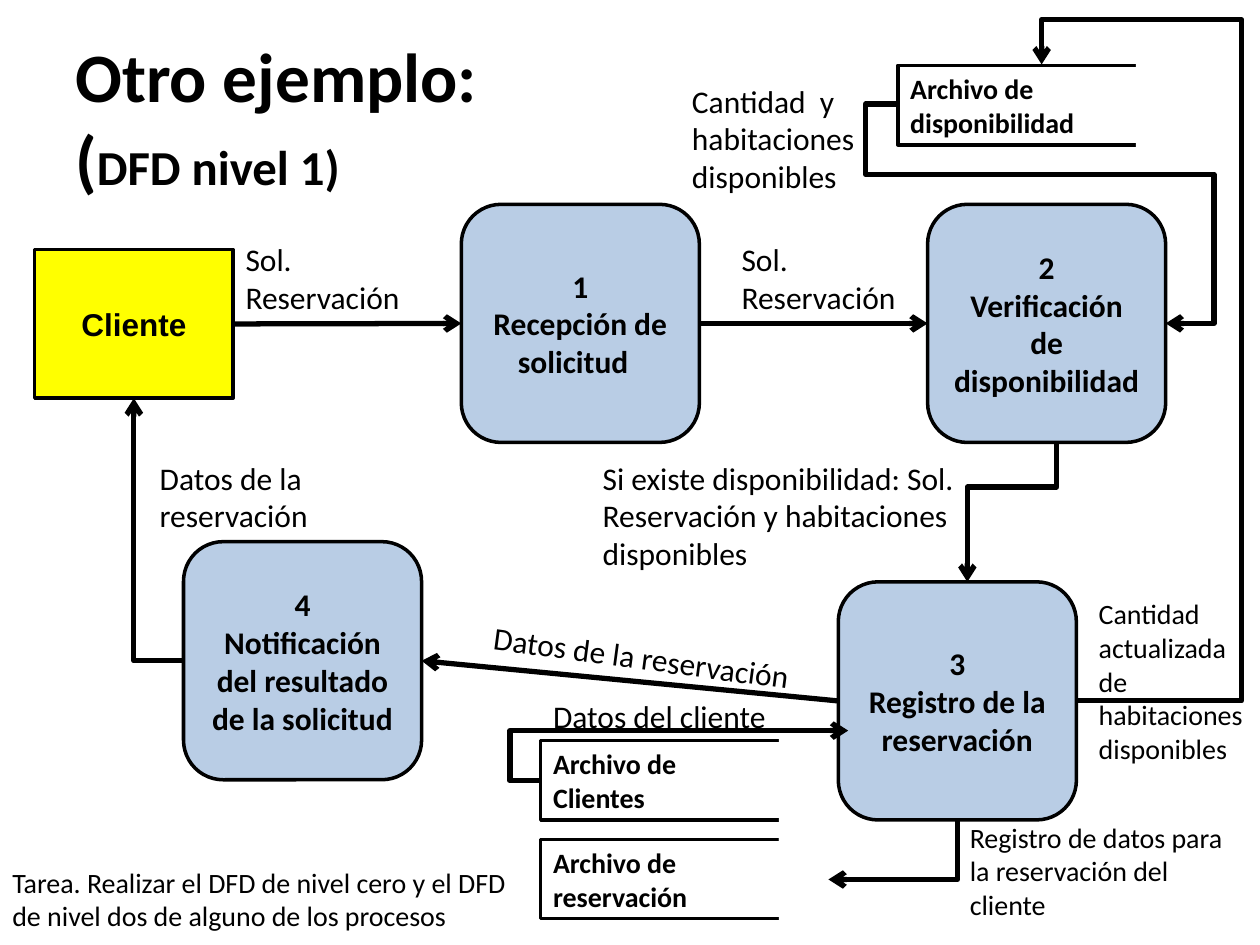
from lxml.etree import SubElement
from pptx import Presentation
from pptx.dml.color import RGBColor
from pptx.enum.shapes import MSO_CONNECTOR as Link, MSO_SHAPE as Shape
from pptx.enum.text import MSO_ANCHOR as Anchor, PP_ALIGN as Align
from pptx.oxml.ns import qn
from pptx.util import Cm, Pt

BLACK = RGBColor(0x00, 0x00, 0x00)
WHITE = RGBColor(0xFF, 0xFF, 0xFF)
YELLOW = RGBColor(0xFF, 0xFF, 0x00)
BLUE = RGBColor(0xB9, 0xCD, 0xE5)

LEFT, RIGHT = 1, 3  # connection sites
SIDE = 4.8  # width and height of a process, in cm
STORE = (5.4, 1.6)


class Diagram:
    """Data flow diagram: style, current page and one method per element."""

    text_style = {"name": "Calibri", "size": Pt(18), "bold": False}

    def __init__(self, page):
        self.page = page

    def add_span(self, para, text, **changes):
        span = para.add_run()
        span.text = text
        for key, value in {**self.text_style, **changes}.items():
            setattr(span.font, key, value)
        span.font.color.rgb = BLACK

    def fill_frame(self, frame, lines, align=None, **changes):
        frame.word_wrap = True
        for index, text in enumerate(lines):
            para = frame.add_paragraph() if index else frame.paragraphs[0]
            para.alignment = align
            self.add_span(para, text, **changes)

    def block(self, kind, at, fill, outlined=True, shapes=None):
        shapes = shapes or self.page.shapes
        box = shapes.add_shape(kind, *map(Cm, at))
        box.shadow.inherit = False
        box.fill.solid()
        box.fill.fore_color.rgb = fill
        if outlined:
            box.line.color.rgb = BLACK
            box.line.width = Pt(2)
        else:
            box.line.fill.background()
        return box

    def node(self, kind, at, fill, lines, **changes):
        box = self.block(kind, at, fill)
        box.text_frame.vertical_anchor = Anchor.MIDDLE
        self.fill_frame(box.text_frame, lines, Align.CENTER, bold=True, **changes)
        return box

    def process(self, left, top, *lines):
        return self.node(Shape.ROUNDED_RECTANGLE, (left, top, SIDE, SIDE), BLUE, lines)

    def label(self, at, *lines, angle=0, **changes):
        box = self.page.shapes.add_textbox(*map(Cm, at))
        box.rotation = angle
        self.fill_frame(box.text_frame, lines, **changes)

    def store(self, left, top, *lines):
        """Box open on the right: a white cover hides that side."""
        group = self.page.shapes.add_group_shape()
        self.block(Shape.RECTANGLE, (left, top, *STORE), WHITE, shapes=group.shapes)
        self.block(Shape.RECTANGLE, (left + 4.8, top - 0.4, 0.8, 2.6), WHITE,
                   outlined=False, shapes=group.shapes)
        self.label((left, top, 5.8, 1.62), *lines, size=Pt(16), bold=True)

    def arrow(self, kind, start, end):
        link = self.page.shapes.add_connector(kind, *map(Cm, (*start, *end)))
        link.line.color.rgb = BLACK
        link.line.width = Pt(3)
        props = link.element.spPr
        SubElement(props.find(qn("a:ln")), qn("a:tailEnd"), type="arrow")
        SubElement(props, qn("a:effectLst"))
        return link

    def straight(self, source, source_side, target, target_side):
        link = self.arrow(Link.STRAIGHT, (0, 0), (1, 1))
        link.begin_connect(source, source_side)
        link.end_connect(target, target_side)

    def elbow(self, start, end, parts, bends=(), turned=False):
        """Bent arrow; a turned one leaves downwards and goes left."""
        if turned:
            mid_x, mid_y = (start[0] + end[0]) / 2, (start[1] + end[1]) / 2
            half_w, half_h = (end[1] - start[1]) / 2, (start[0] - end[0]) / 2
            start, end = (mid_x - half_w, mid_y - half_h), (mid_x + half_w, mid_y + half_h)
        link = self.arrow(Link.ELBOW, start, end)
        props = link.element.spPr
        if turned:
            props.find(qn("a:xfrm")).set("rot", str(90 * 60000))
        shape = props.find(qn("a:prstGeom"))
        shape.set("prst", f"bentConnector{parts}")
        guides = shape.find(qn("a:avLst"))
        if guides is None:
            guides = SubElement(shape, qn("a:avLst"))
        for number, bend in enumerate(bends, 1):
            SubElement(guides, qn("a:gd"), name=f"adj{number}",
                       fmla=f"val {round(bend * 100000)}")

    def title(self, at, first, mark, second):
        box = self.page.shapes.add_textbox(*map(Cm, at))
        frame = box.text_frame
        frame.vertical_anchor = Anchor.MIDDLE
        self.fill_frame(frame, [first], size=Pt(39.6), bold=True)
        para = frame.paragraphs[0]
        para.add_line_break()
        self.add_span(para, mark, size=Pt(39.6), bold=True)
        self.add_span(para, second, size=Pt(27.9), bold=True)


def main():
    deck = Presentation()
    deck.slide_width, deck.slide_height = Cm(25.4), Cm(19.05)
    diagram = Diagram(deck.slides.add_slide(deck.slide_layouts[6]))
    small = {"size": Pt(16)}

    diagram.title((1.27, 0.76, 22.86, 3.18), "Otro ejemplo:", "(", "DFD nivel 1)")

    # Client and processes
    client = diagram.node(Shape.RECTANGLE, (0.7, 5.03, 4, 3), YELLOW, ["Cliente"],
                          name="Arial")
    request = diagram.process(9.3, 4.12, "1", "Recepción de solicitud  ")
    check = diagram.process(18.7, 4.12, "2", "Verificación de disponibilidad")
    booking = diagram.process(16.9, 11.73, "3", "Registro de la reservación")
    notice = diagram.process(3.7, 10.92, "4", "Notificación del resultado de la solicitud")

    # Data stores
    diagram.store(18.1, 1.32, "Archivo de disponibilidad")
    diagram.store(10.9, 16.92, "Archivo de reservación")
    diagram.store(10.9, 14.93, "Archivo de", "Clientes")

    # Flows
    diagram.straight(client, RIGHT, request, LEFT)
    diagram.straight(request, RIGHT, check, LEFT)
    diagram.straight(booking, LEFT, notice, RIGHT)
    diagram.elbow((18.1, 2.1), (23.5, 6.52), 5, (-0.12, 0.32, 1.18))
    diagram.elbow((21.7, 14.13), (21, 1.3), 4, (-4.76, 1.07))
    diagram.elbow((3.7, 13.32), (2.7, 8.03), 2)
    diagram.elbow((21.3, 8.92), (19.5, 11.73), 3, (0.32,), turned=True)
    diagram.elbow((19.3, 16.53), (16.7, 17.73), 2, turned=True)
    diagram.elbow((10.9, 15.74), (17.1, 14.73), 3, (-0.1,))

    # Flow labels
    for left in (4.7, 14.7):
        diagram.label((left, 4.72, 4.6, 1.8), "Sol. Reservación")
    diagram.label((13.7, 1.52, 5.8, 2.56), "Cantidad  y  habitaciones disponibles")
    diagram.label((11.9, 9.12, 8.8, 2.56),
                  "Si existe disponibilidad: Sol. Reservación y habitaciones disponibles")
    diagram.label((21.9, 11.91, 3.5, 3.68),
                  "Cantidad  actualizada de habitaciones disponibles", **small)
    diagram.label((19.3, 16.41, 5.9, 2.31),
                  "Registro de datos para la reservación del cliente", **small)
    diagram.label((10.9, 13.92, 5.6, 1.02), "Datos del cliente")
    diagram.label((9.68, 12.8, 7.4, 1.02), "Datos de la reservación", angle=7.6)
    diagram.label((2.97, 9.12, 4.73, 1.8), "Datos de la reservación")

    # Assignment
    diagram.label((0, 17.32, 10.5, 1.62),
                  "Tarea. Realizar el DFD de nivel cero y el DFD de nivel dos "
                  "de alguno de los procesos", **small)

    deck.save("out.pptx")


if __name__ == "__main__":
    main()
